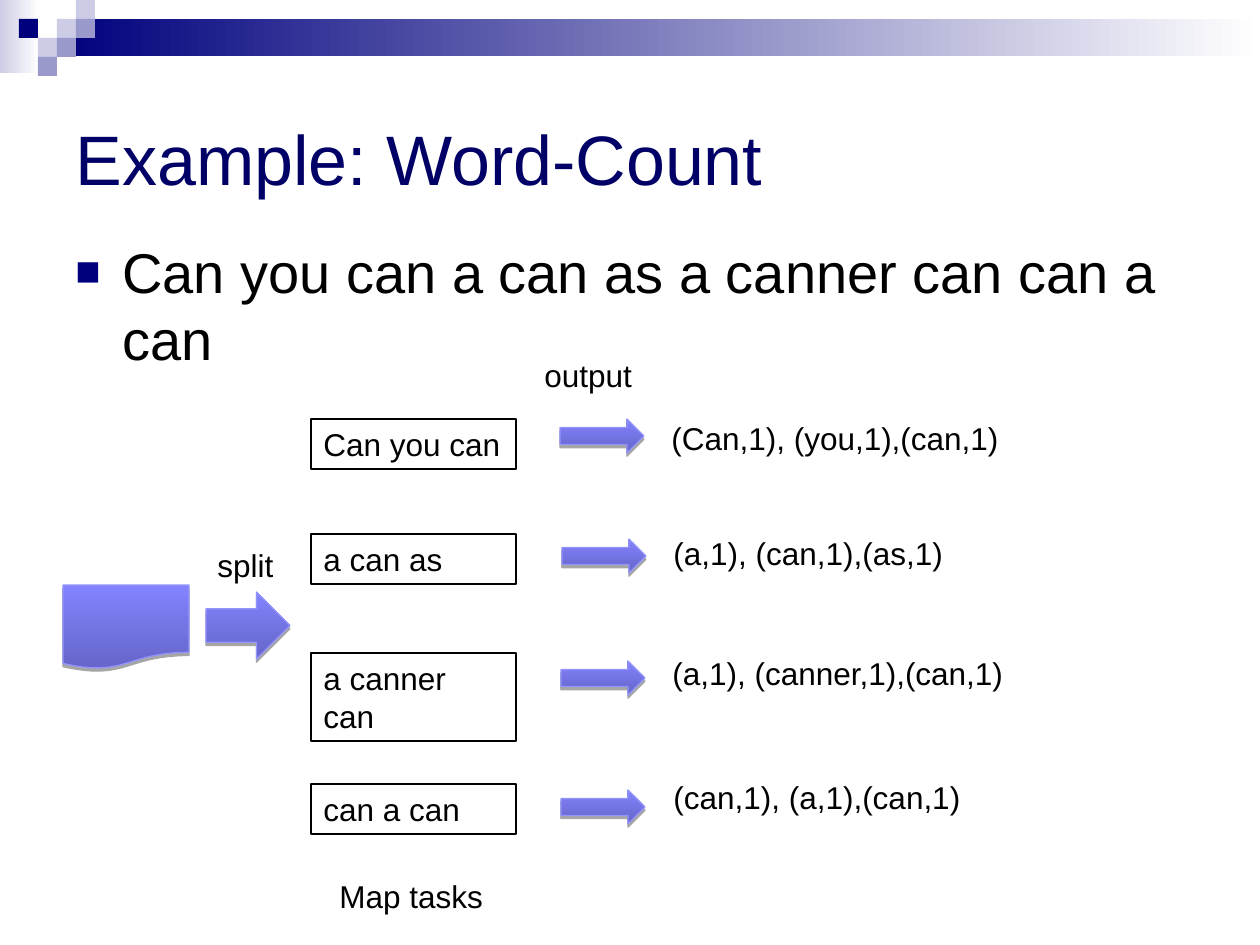
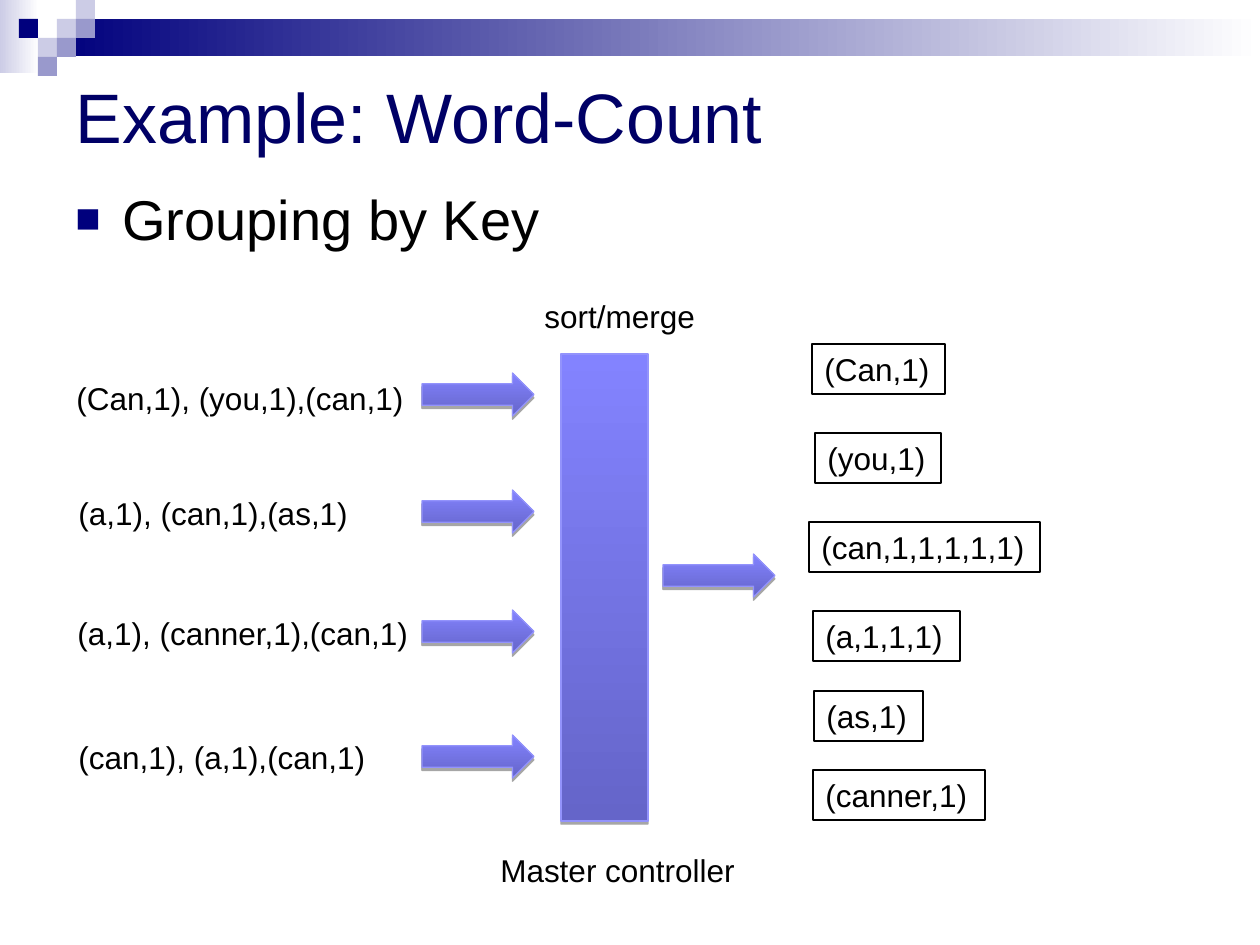
"""Build two slides that explain word counting with map tasks and grouping by key."""
import pptx
import pptx.dml.color
import pptx.enum.shapes
import pptx.enum.text
import pptx.oxml
import pptx.oxml.ns
import pptx.util
from lxml import etree

RGB = pptx.dml.color.RGBColor
SHAPE = pptx.enum.shapes.MSO_SHAPE
NAVY = RGB(0x00, 0x00, 0x7D)
TITLE = RGB(0x00, 0x00, 0x66)
PALE = RGB(0xCC, 0xCC, 0xE6)
MID = RGB(0x99, 0x99, 0xCC)
WHITE = RGB(0xFF, 0xFF, 0xFF)
BLACK = RGB(0x00, 0x00, 0x00)
BLUE_DARK = RGB(0x65, 0x65, 0xC9)
BLUE_LIGHT = RGB(0x83, 0x83, 0xFF)
BLUE_LINE = RGB(0x93, 0x93, 0xFC)
FONT = "Arial"
PX = 914400 / 126
TILE = 19
INDENT = 47
NS = pptx.oxml.ns.nsdecls("a")
SHADOW = (f'<a:outerShdw {NS} blurRad="0" dist="22860" dir="5400000" rotWithShape="0">'
          '<a:srgbClr val="000000"><a:alpha val="35000"/></a:srgbClr></a:outerShdw>')
BULLET = (f'<a:buClr {NS}><a:srgbClr val="{NAVY}"/></a:buClr>',
          f'<a:buSzPct {NS} val="75000"/>',
          f'<a:buFont {NS} typeface="{FONT}"/>',
          f'<a:buChar {NS} char="■"/>')


def add_block(s, kind, box, colors=(BLUE_DARK, BLUE_LIGHT), angle=90, raised=True):
    sp = s.shapes.add_shape(kind, *(round(v * PX) for v in box))
    sp.shadow.inherit = False
    if len(colors) == 1:
        sp.fill.solid()
        sp.fill.fore_color.rgb = colors[0]
    else:
        sp.fill.gradient()
        sp.fill.gradient_angle = angle
        for stop, color in zip(sp.fill.gradient_stops, colors):
            stop.color.rgb = color
    if raised:
        sp.line.color.rgb = BLUE_LINE
        sp.line.width = pptx.util.Pt(0.75)
        effects = sp.element.spPr.find(pptx.oxml.ns.qn("a:effectLst"))
        effects.append(etree.fromstring(SHADOW))
    else:
        sp.line.fill.background()


def add_label(s, text, x, y, w, h=50, outlined=False, wrap=False, size=18):
    sp = s.shapes.add_textbox(*(round(v * PX) for v in (x, y, w, h)))
    if outlined:
        sp.line.color.rgb = BLACK
        sp.line.width = pptx.util.Pt(0.75)
    tf = sp.text_frame
    tf.word_wrap = wrap
    tf.auto_size = pptx.enum.text.MSO_AUTO_SIZE.SHAPE_TO_FIT_TEXT
    p = tf.paragraphs[0]
    p.text = text
    p.font.name = FONT
    p.font.size = pptx.util.Pt(size)
    p.font.color.rgb = BLACK
    return sp


prs = pptx.Presentation()
prs.slide_width = pptx.util.Inches(10)
prs.slide_height = pptx.util.Inches(7.5)

tiles = [(3, 1, PALE), (4, 0, PALE), (4, 1, MID), (2, 2, PALE),
         (1, 1, NAVY), (3, 2, MID), (2, 3, MID)]
frames = [(63, "Can you can a can as a canner can can a can", 231, 536),
          (21, "Grouping by Key", 178, 108)]
for title_y, bullet, body_y, body_h in frames:
    s = prs.slides.add_slide(prs.slide_layouts[5])
    add_block(s, SHAPE.RECTANGLE, (0, 0, 39, 73), (PALE, WHITE), 0, False)
    add_block(s, SHAPE.RECTANGLE, (57, 19, 1203, 37), (NAVY, WHITE), 0, False)
    for col, row, color in tiles:
        add_block(s, SHAPE.RECTANGLE, (col * TILE, row * TILE, TILE, TILE), (color,), raised=False)

    sp = s.shapes.title
    sp.left, sp.top, sp.width, sp.height = (round(v * PX) for v in (63, title_y, 1134, 189))
    tf = sp.text_frame
    tf.vertical_anchor = pptx.enum.text.MSO_ANCHOR.MIDDLE
    p = tf.paragraphs[0]
    p.text = "Example: Word-Count"
    p.alignment = pptx.enum.text.PP_ALIGN.LEFT
    p.font.name = FONT
    p.font.size = pptx.util.Pt(40)
    p.font.color.rgb = TITLE

    sp = add_label(s, bullet, 63, body_y, 1134, body_h, wrap=True, size=32)
    sp.text_frame.auto_size = pptx.enum.text.MSO_AUTO_SIZE.NONE
    pPr = sp.text_frame.paragraphs[0]._p.get_or_add_pPr()
    pPr.set("marL", str(round(INDENT * PX)))
    pPr.set("indent", str(round(-INDENT * PX)))
    for i, xml in enumerate(BULLET):
        pPr.insert(i, pptx.oxml.parse_xml(xml))

map_slide, group_slide = prs.slides
pairs = [("(Can,1), (you,1),(can,1)", 659, 413, 364),
         ("(a,1), (can,1),(as,1)", 661, 528, 307),
         ("(a,1), (canner,1),(can,1)", 660, 648, 370),
         ("(can,1), (a,1),(can,1)", 661, 772, 324)]

s = map_slide
add_block(s, SHAPE.FLOWCHART_DOCUMENT, (63, 585, 126, 84))
add_block(s, SHAPE.RIGHT_ARROW, (206, 592, 84, 67))
chunks = [("Can you can", 419, 50, 560, 419), ("a can as", 534, 50, 562, 539),
          ("a canner can", 653, 88, 561, 661), ("can a can", 784, 50, 561, 790)]
for (chunk, y, h, arrow_x, arrow_y), pair in zip(chunks, pairs):
    add_label(s, chunk, 311, y, 205, h, outlined=True, wrap=True)
    add_block(s, SHAPE.RIGHT_ARROW, (arrow_x, arrow_y, 84, 34))
    add_label(s, *pair)
for text, x, y, w in [("Map tasks", 327, 871, 172), ("output", 532, 350, 118),
                      ("split", 205, 540, 84)]:
    add_label(s, text, x, y, w)

s = group_slide
add_block(s, SHAPE.RECTANGLE, (561, 354, 87, 467))
for (text, x, y, w), arrow_y in zip(pairs, (373, 490, 610, 735)):
    add_label(s, text, x - 595, y - 40, w)
    add_block(s, SHAPE.RIGHT_ARROW, (422, arrow_y, 112, 43))
add_block(s, SHAPE.RIGHT_ARROW, (663, 554, 112, 43))
groups = [("(Can,1)", 812, 344, 133), ("(you,1)", 815, 433, 126),
          ("(can,1,1,1,1,1)", 809, 522, 231), ("(a,1,1,1)", 813, 611, 147),
          ("(as,1)", 814, 691, 109), ("(canner,1)", 813, 770, 172)]
for group in groups:
    add_label(s, *group, outlined=True)
add_label(s, "sort/merge", 532, 291, 181)
add_label(s, "Master controller", 488, 845, 263)

prs.save("out.pptx")
